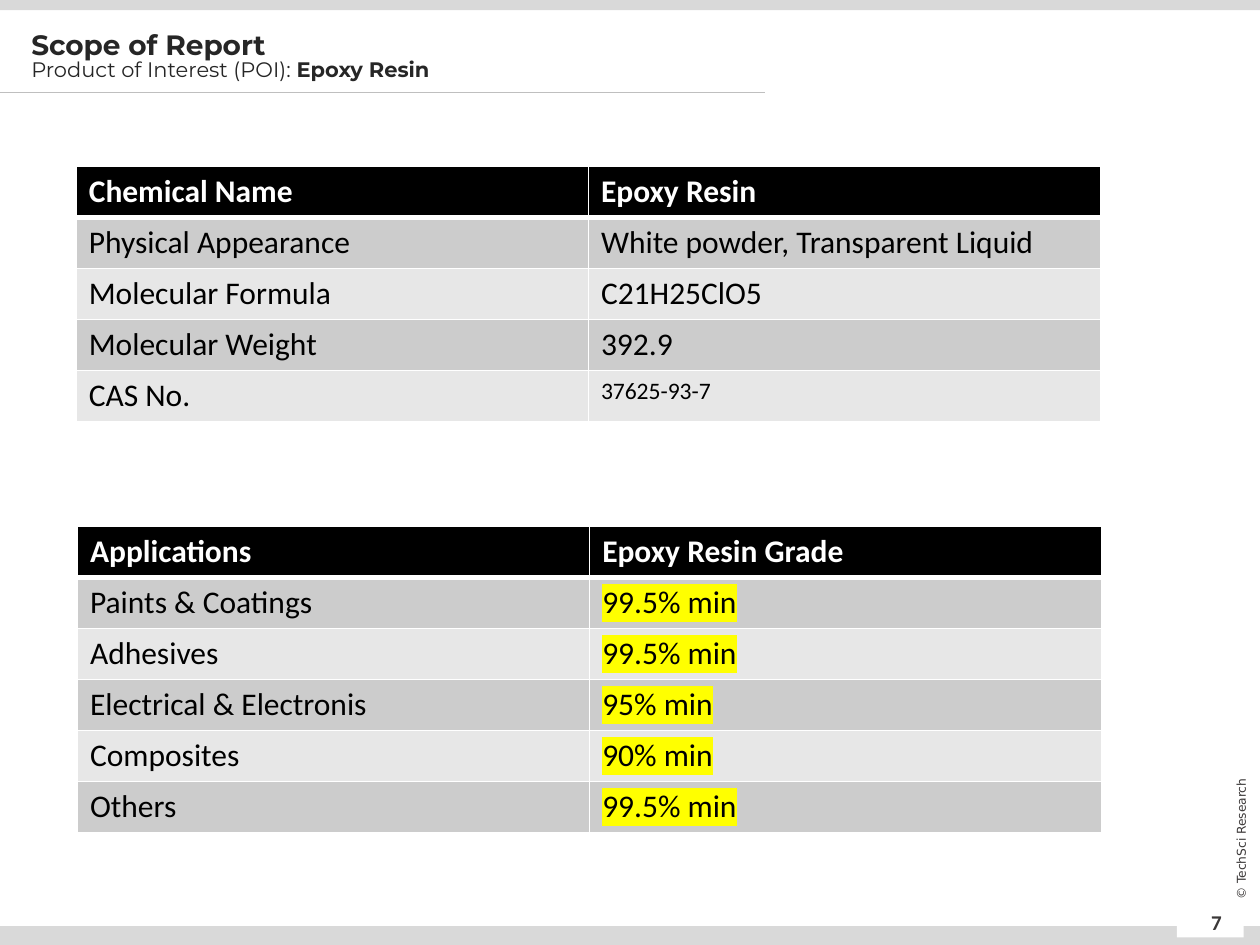
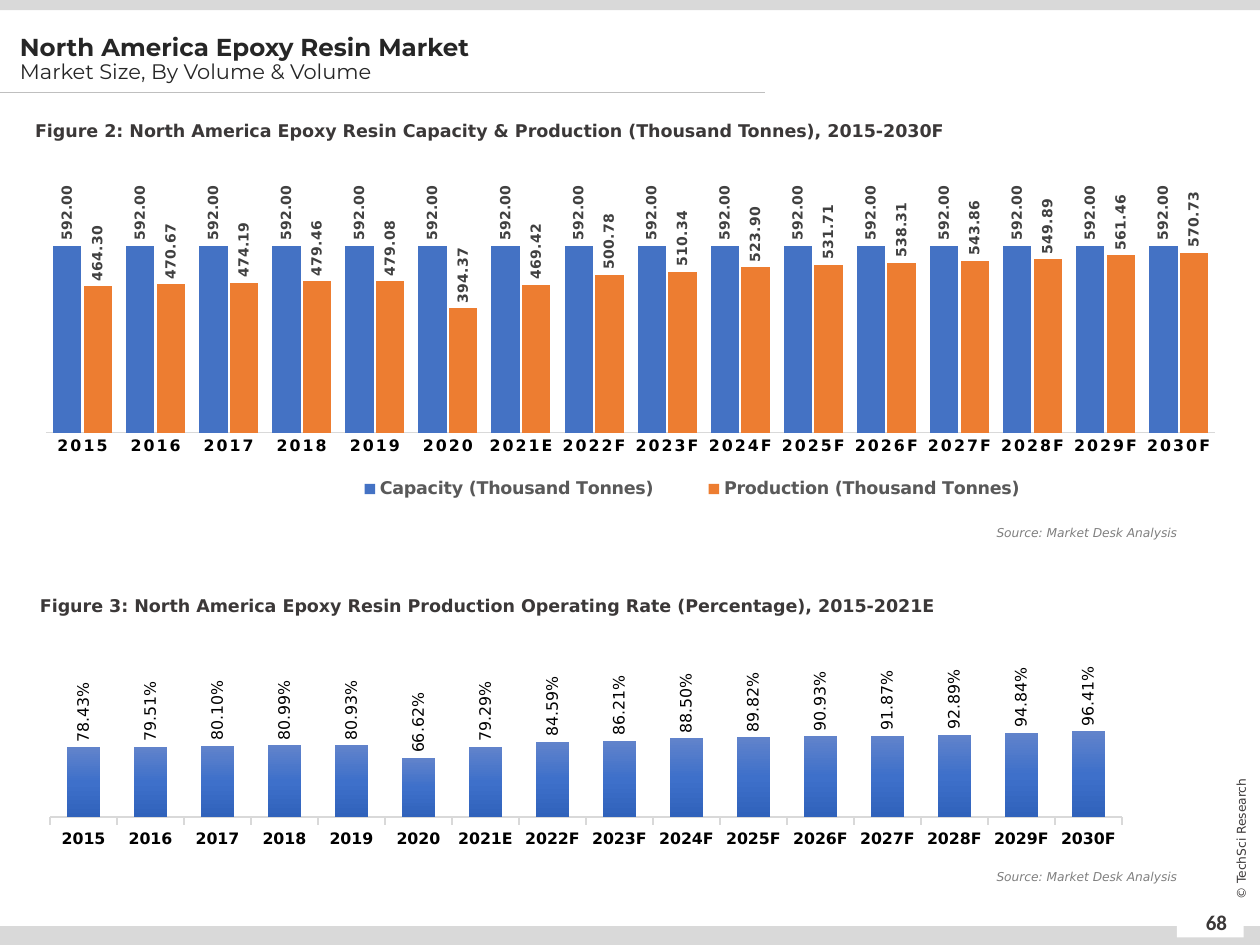
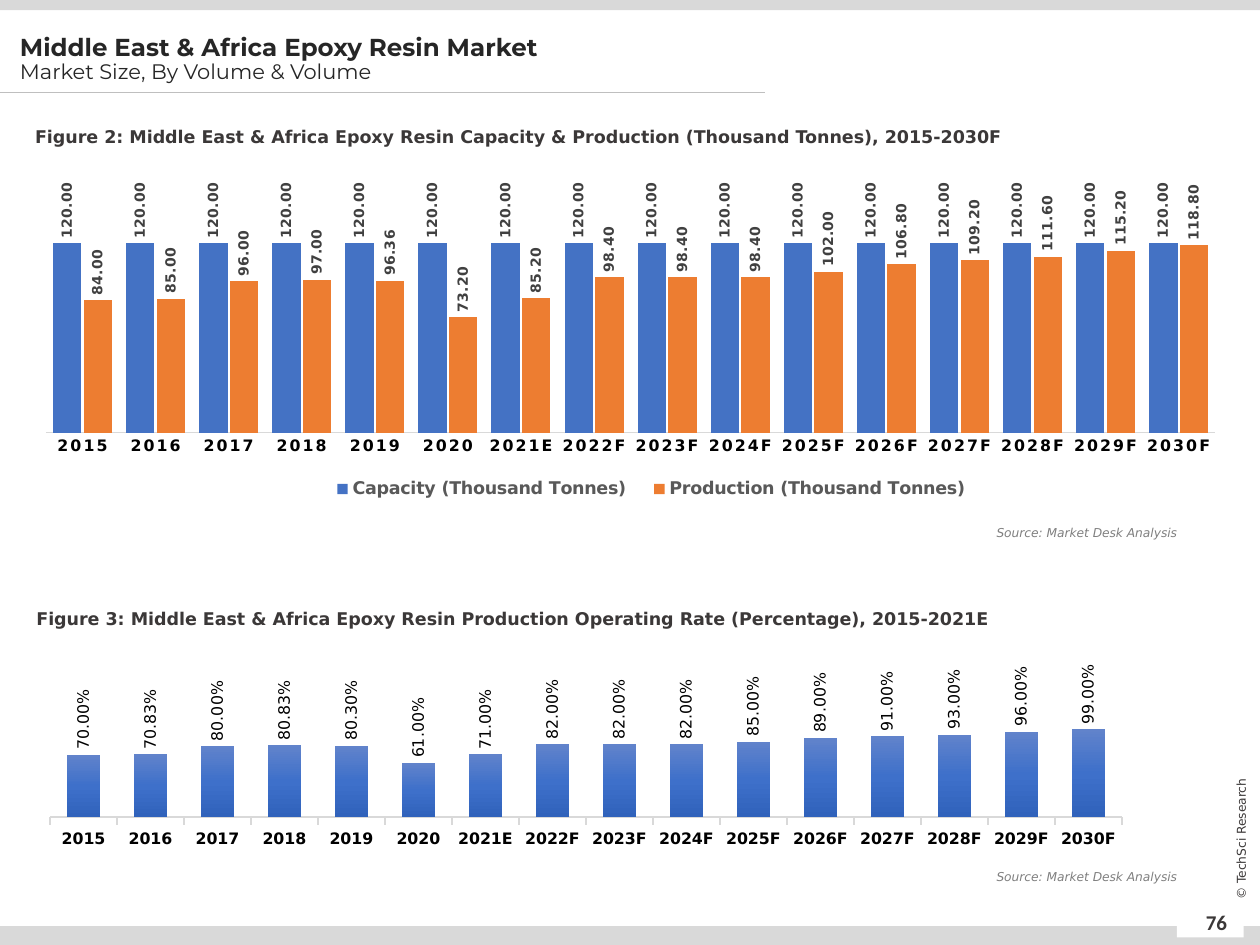
from lxml import etree
from copy import deepcopy
from pptx import Presentation
from pptx import util as u
from pptx.chart import data as chart_data
from pptx.dml import color
from pptx.enum import chart as ch, shapes, text
from pptx.oxml import ns

# Grid: 100 columns by 75 rows of square cells
COLUMNS, ROWS = 100, 75
CELL = u.Inches(10) // COLUMNS

BLACK, WHITE, INK, TITLE_INK = "000000", "FFFFFF", "3B3838", "262626"
BAND, RULE, SOURCE_GREY = "D9D9D9", "BFBFBF", "808080"
LEGEND_GREY, LABEL_GREY = "595959", "404040"
ROW_FILLS, MARKER = ("E7E7E7", "CCCCCC"), "FFFF00"
CAPACITY_BLUE, PRODUCTION_ORANGE = "4472C4", "ED7D31"
RATE_GRADIENT = ((0, "6183CB"), (0.5, "3E70CA"), (1, "3062BB"))
SANS, HEADING, BODY = "DejaVu Sans", "Montserrat", "Calibri"
LEFT, CENTER, RIGHT = text.PP_ALIGN.LEFT, text.PP_ALIGN.CENTER, text.PP_ALIGN.RIGHT

YEARS = [f"{year}" for year in range(2015, 2021)] + ["2021E"]
YEARS += [f"{year}F" for year in range(2022, 2031)]


def rgb(value):
    return color.RGBColor.from_string(value)


def grid(*cells):
    return [u.Emu(round(n * CELL)) for n in cells]


def add_xml(parent, tag, **attributes):
    return etree.SubElement(parent, ns.qn(tag), attributes)


def style(font, size, ink, face=SANS, bold=False, italic=False):
    font.size, font.name = u.Pt(size), face
    font.bold, font.italic = bold, italic
    font.color.rgb = rgb(ink)


def add_band(slide, *box):
    *cells, fill = box
    band = slide.shapes.add_shape(shapes.MSO_SHAPE.RECTANGLE, *grid(*cells))
    band.shadow.inherit = False
    band.fill.solid()
    band.fill.fore_color.rgb = rgb(fill)
    band.line.fill.background()


def add_text(slide, box, lines, align=LEFT, spacing=1.0, middle=False):
    """Each line is a list of (words, size, ink, face, bold, italic) runs."""
    holder = slide.shapes.add_textbox(*grid(*box))
    frame = holder.text_frame
    frame.word_wrap = True
    if middle:
        frame.vertical_anchor = text.MSO_ANCHOR.MIDDLE
    for number, runs in enumerate(lines):
        paragraph = frame.add_paragraph() if number else frame.paragraphs[0]
        paragraph.alignment, paragraph.line_spacing = align, spacing
        for words, *look in runs:
            run = paragraph.add_run()
            run.text = words
            style(run.font, *look)
    return holder


def add_title(slide, box, title, size, subtitle, product="", spacing=0.9):
    second = [(subtitle, 12, TITLE_INK, HEADING)]
    if product:
        second.append((product, 12, TITLE_INK, HEADING, True))
    first = [(title, size, TITLE_INK, HEADING, True)]
    add_text(slide, box, [first, second], spacing=spacing, middle=True)


def add_caption(slide, left, top, words, align=LEFT):
    add_text(slide, (left, top, 96.3, 3.2), [[(words, 10, INK, SANS, True)]], align, 1.5)


def add_source(slide, top):
    words = "Source: Market Desk Analysis"
    add_text(slide, (61.2, top, 33.2, 2.2),
             [[(words, 7, SOURCE_GREY, SANS, False, True)]], RIGHT)


def add_page(deck, number):
    """New slide with the shared bands, title rule, page number and copyright."""
    slide = deck.slides.add_slide(deck.slide_layouts[6])
    add_band(slide, 0, 0, COLUMNS, 0.8, BAND)
    add_band(slide, 95.6, 71.3, 3.5, 3.7, WHITE)
    rule = slide.shapes.add_connector(
        shapes.MSO_CONNECTOR.STRAIGHT, *grid(0, 7.35, 60.7, 7.35))
    rule.line.color.rgb, rule.line.width = rgb(RULE), u.Pt(0.5)
    add_xml(rule._element.spPr, "a:effectLst")
    add_band(slide, 0, ROWS - 1.5, COLUMNS, 1.5, BAND)
    add_band(slide, 93.4, 72.2, 5.3, 2.2, WHITE)
    add_text(slide, (94.1, 71.2, 4.9, 4), [[(str(number), 12, INK, BODY, True)]],
             CENTER, middle=True)
    rights = add_text(slide, (92.5, 65.8, 12, 1.6),
                      [[("© TechSci Research", 7, INK)]], CENTER, middle=True)
    rights.rotation = 270
    return slide


def add_borders(cell, bottom):
    properties = cell._tc.get_or_add_tcPr()
    sides = (("a:lnL", 1), ("a:lnR", 1), ("a:lnT", 1), ("a:lnB", bottom))
    for position, (side, width) in enumerate(sides):
        line = add_xml(properties, side, w=str(u.Pt(width)))
        add_xml(add_xml(line, "a:solidFill"), "a:srgbClr", val=WHITE)
        properties.insert(position, line)


def add_highlight(font):
    fill = font._element.find(ns.qn("a:solidFill"))
    mark = add_xml(font._element, "a:highlight")
    add_xml(mark, "a:srgbClr", val=MARKER)
    fill.addnext(mark)


def add_facts(slide, left, top, rows, highlighted=False, last_size=18):
    """Two-column table; the last cell may have its own text size."""
    row_height, width = 4.05, 81.3
    table = slide.shapes.add_table(
        len(rows), 2, *grid(left, top, width, row_height * len(rows))).table
    for r, row in enumerate(rows):
        table.rows[r].height = grid(row_height)[0]
        for c, words in enumerate(row):
            cell = table.cell(r, c)
            cell.text = words
            cell.fill.solid()
            cell.fill.fore_color.rgb = rgb(ROW_FILLS[r % 2] if r else BLACK)
            add_borders(cell, 1 if r else 3)
            font = cell.text_frame.paragraphs[0].runs[0].font
            is_last = (r, c) == (len(rows) - 1, 1)
            style(font, last_size if is_last else 18,
                  BLACK if r else WHITE, BODY, bold=r == 0)
            if highlighted and r and c:
                add_highlight(font)


def set_layout(parent, position, shares, inner=False):
    """Fix the place of a chart part: x, y, w, h in percent of the chart."""
    for old in parent.findall(ns.qn("c:layout")):
        parent.remove(old)
    layout = add_xml(parent, "c:layout")
    manual = add_xml(layout, "c:manualLayout")
    if inner:
        add_xml(manual, "c:layoutTarget", val="inner")
    for mode in ("xMode", "yMode"):
        add_xml(manual, f"c:{mode}", val="edge")
    for side, share in zip("xywh", shares):
        add_xml(manual, f"c:{side}", val=str(share / 100))
    parent.insert(position, layout)


def add_columns(slide, box, series, top_value, number_format, gap, plot_shares):
    values = chart_data.CategoryChartData(number_format=number_format)
    values.categories = YEARS
    for name, numbers in series:
        values.add_series(name, numbers)
    chart = slide.shapes.add_chart(
        ch.XL_CHART_TYPE.COLUMN_CLUSTERED, *grid(*box), values).chart
    style(chart.font, 9, BLACK)
    chart.has_title = chart.has_legend = False
    plot = chart.plots[0]
    plot.gap_width, plot.vary_by_categories = gap, False
    set_layout(chart._chartSpace.chart.plotArea, 0, plot_shares, inner=True)

    years, scale = chart.category_axis, chart.value_axis
    style(years.tick_labels.font, 9, BLACK, bold=True)
    years.format.line.color.rgb = rgb(BAND)
    scale.minimum_scale, scale.maximum_scale = 0, top_value
    scale.has_major_gridlines = False
    scale.tick_label_position = ch.XL_TICK_LABEL_POSITION.NONE
    scale.format.line.fill.background()
    return chart


def add_value_labels(series, number_format, size, ink, bold):
    labels = series.data_labels
    labels.show_value = True
    labels.position = ch.XL_LABEL_POSITION.OUTSIDE_END
    labels.number_format, labels.number_format_is_linked = number_format, False
    style(labels.font, size, ink, bold=bold)
    turned = labels._element.find(ns.qn("c:txPr")).find(ns.qn("a:bodyPr"))
    turned.set("rot", "-5400000")
    turned.set("vert", "horz")


def add_volume_chart(slide, capacity, production, top_value, legend_width):
    series = (("Capacity (Thousand Tonnes)", [capacity] * len(YEARS)),
              ("Production (Thousand Tonnes)", production))
    chart = add_columns(slide, (3.6, 12.6, 92.9, 28.5), series, top_value,
                        "0.00", 50, (0, 14.8, 100, 61.5))
    chart.plots[0].overlap = -8
    years = chart.category_axis
    years.major_tick_mark = ch.XL_TICK_MARK.NONE
    years.format.line.width = u.Pt(0.75)
    years.tick_labels.font._element.set("spc", "120")
    chart.value_axis.visible = False
    for bars, fill in zip(chart.plots[0].series, (CAPACITY_BLUE, PRODUCTION_ORANGE)):
        bars.format.fill.solid()
        bars.format.fill.fore_color.rgb = rgb(fill)
        add_value_labels(bars, "0.00", 8, LABEL_GREY, True)
    chart.has_legend = True
    legend = chart.legend
    legend.position, legend.include_in_layout = ch.XL_LEGEND_POSITION.TOP, False
    style(legend.font, 10, LEGEND_GREY, bold=True)
    set_layout(legend._element, 1, (23, 87, legend_width, 10))


def add_rate_chart(slide, percentages):
    rates = [round(p / 100, 4) for p in percentages]
    chart = add_columns(slide, (1.75, 50.7, 88.8, 17.4), [("Series 1", rates)], 1.2,
                        "0.00%", 100, (2.5, 32.7, 95.8, 48.8))
    chart.category_axis.major_tick_mark = ch.XL_TICK_MARK.OUTSIDE
    chart.category_axis.format.line.width = u.Pt(1)
    bars = chart.plots[0].series[0]
    fill = bars.format.fill
    fill.gradient()
    fill.gradient_angle = 270
    first_stop = next(bars._element.iter(ns.qn("a:gs")))
    first_stop.addnext(deepcopy(first_stop))
    for stop, (place, shade) in zip(fill.gradient_stops, RATE_GRADIENT):
        stop.position, stop.color.rgb = place, rgb(shade)
    add_value_labels(bars, "0.00%", 9, BLACK, False)


def add_region(deck, number, region, captions, capacity, production,
               top_value, legend_width, rates):
    """Market slide; captions gives the volume top and the rate left and top."""
    volume_top, rate_left, rate_top = captions
    slide = add_page(deck, number)
    add_title(slide, (0.6, 1.4, 61.3, 6.7), f"{region} Epoxy Resin Market", 14,
              "Market Size, By Volume & Volume")
    add_volume_chart(slide, capacity, production, top_value, legend_width)
    add_caption(slide, 1.8, volume_top, f"Figure 2: {region} Epoxy Resin "
                "Capacity & Production (Thousand Tonnes), 2015-2030F")
    add_source(slide, 41.2)
    add_caption(slide, rate_left, rate_top, f"Figure 3: {region} Epoxy Resin "
                "Production Operating Rate (Percentage), 2015-2021E", CENTER)
    add_rate_chart(slide, rates)
    add_source(slide, 68.5)


def add_scope(deck):
    slide = add_page(deck, 7)
    add_facts(slide, 6.05, 13.2, [
        ("Chemical Name", "Epoxy Resin"),
        ("Physical Appearance", "White powder, Transparent Liquid"),
        ("Molecular Formula", "C21H25ClO5"),
        ("Molecular Weight", "392.9"),
        ("CAS No.", "37625-93-7")], last_size=13.5)
    add_title(slide, (1.5, 2.1, 86, 5), "Scope of Report", 16,
              "Product of Interest (POI): ", "Epoxy Resin", 0.8)
    add_facts(slide, 6.15, 41.8, [
        ("Applications", "Epoxy Resin Grade"),
        ("Paints & Coatings", "99.5% min"),
        ("Adhesives", "99.5% min"),
        ("Electrical & Electronis", "95% min"),
        ("Composites", "90% min"),
        ("Others", "99.5% min")], highlighted=True)


def main():
    deck = Presentation()
    deck.slide_width, deck.slide_height = grid(COLUMNS, ROWS)
    add_scope(deck)
    add_region(
        deck, 68, "North America", (8.2, -9.5, 45.9), 592,
        [464.3, 470.67, 474.19, 479.46, 479.08, 394.37, 469.42, 500.78,
         510.34, 523.9, 531.71, 538.31, 543.86, 549.89, 561.46, 570.73],
        700, 64.5,
        [78.43, 79.51, 80.1, 80.99, 80.93, 66.62, 79.29, 84.59,
         86.21, 88.5, 89.82, 90.93, 91.87, 92.89, 94.84, 96.41])
    add_region(
        deck, 76, "Middle East & Africa", (8.7, -7.5, 46.9), 120,
        [84, 85, 96, 97, 96.36, 73.2, 85.2, 98.4,
         98.4, 98.4, 102, 106.8, 109.2, 111.6, 115.2, 118.8],
        140, 57.5,
        [70, 70.83, 80, 80.83, 80.3, 61, 71, 82,
         82, 82, 85, 89, 91, 93, 96, 99])
    deck.save("out.pptx")


if __name__ == "__main__":
    main()
